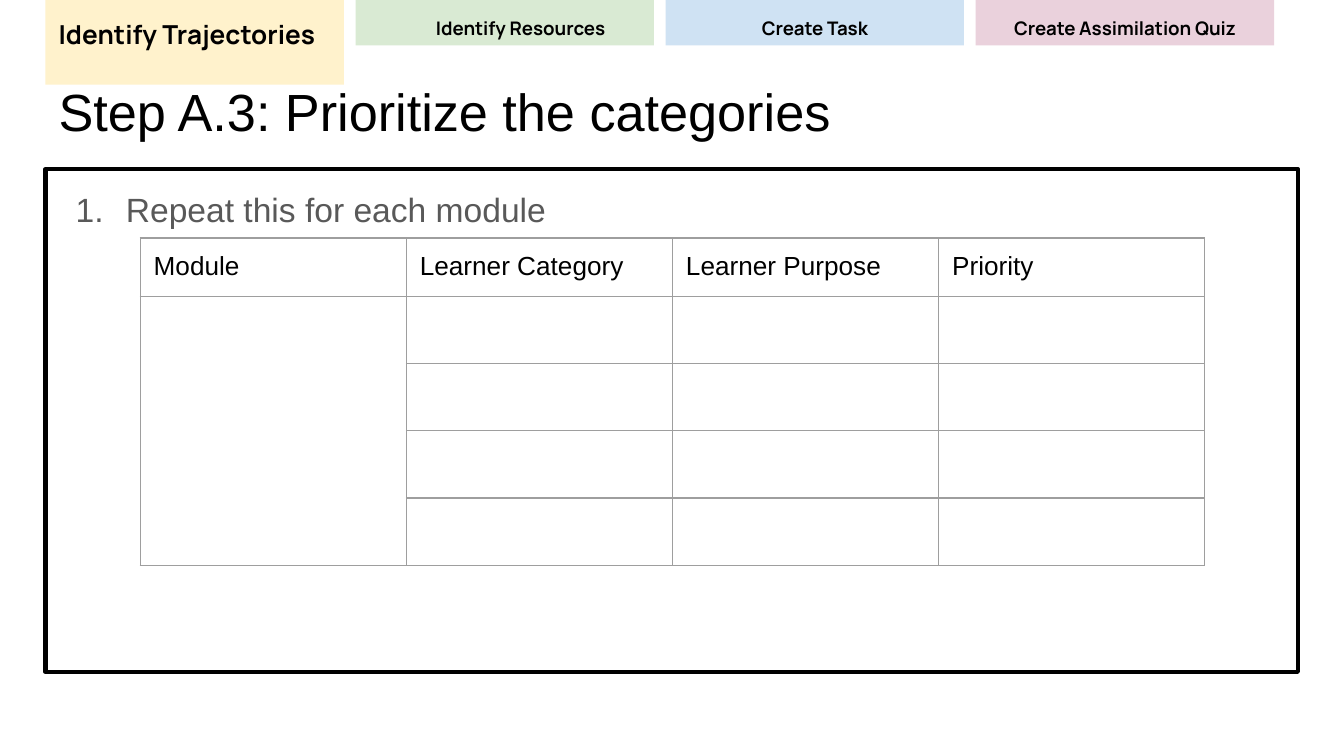
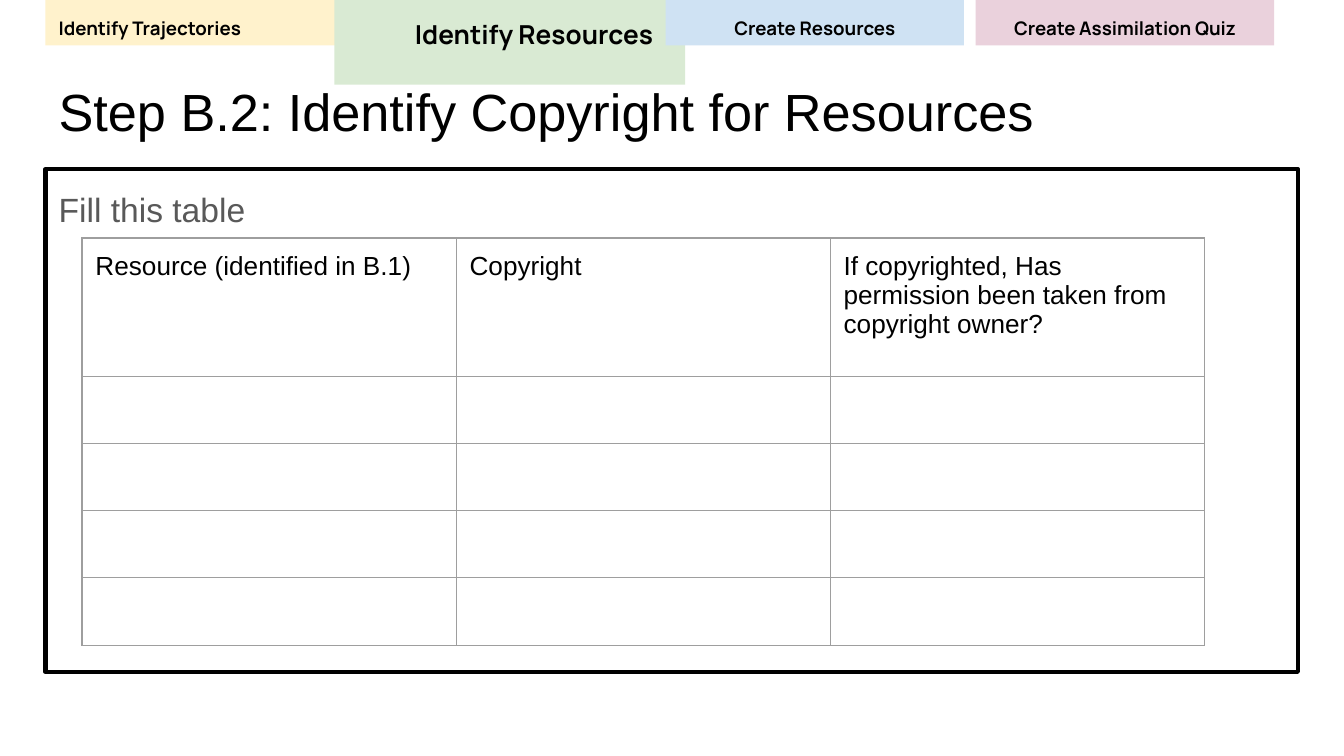
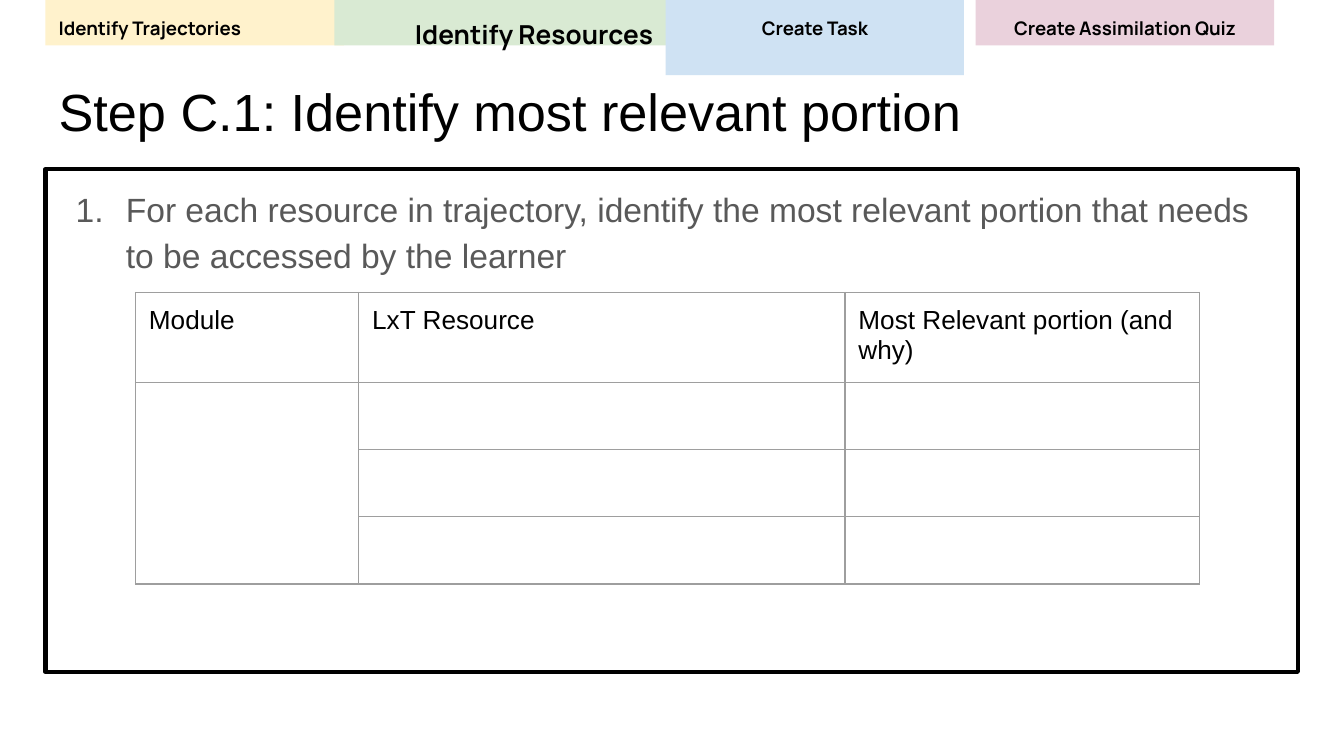
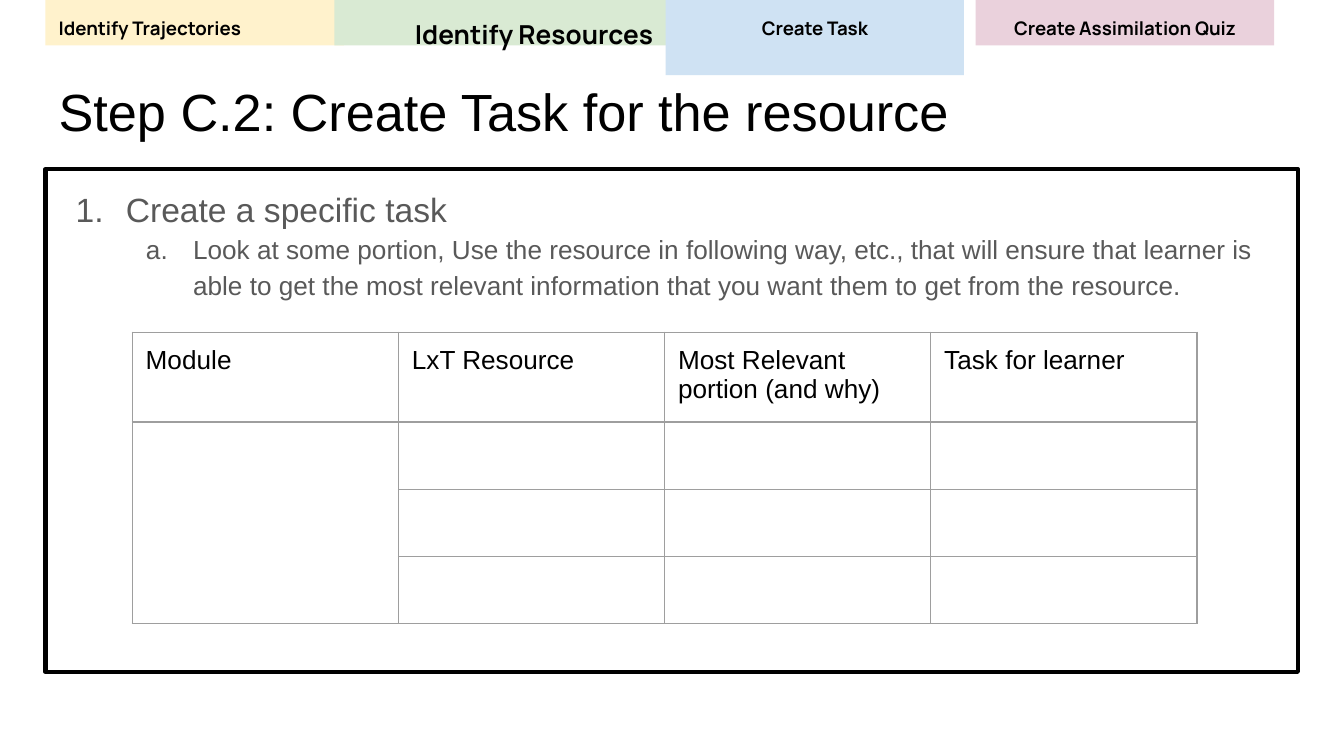
from lxml import etree
from pptx import Presentation
from pptx.dml.color import RGBColor
from pptx.enum.shapes import MSO_SHAPE
from pptx.enum.text import MSO_ANCHOR, PP_ALIGN
from pptx.oxml.ns import qn
from pptx.util import Cm, Pt

RECT = MSO_SHAPE.RECTANGLE
TOP = MSO_ANCHOR.TOP
LEFT, MID = PP_ALIGN.LEFT, PP_ALIGN.CENTER

COLORS = {
    "black": "000000", "gray": "595959", "grid": "9E9E9E",
    "yellow": "FFF2CC", "green": "D9EAD3", "blue": "CFE2F3", "pink": "EAD1DC",
}
BODY, HEAD = "Arial", "Manrope"

# Lengths are in centimetres, text sizes in points.
PAGE = (25.4, 14.29)
TITLE = (0.86, 1.24, 23.67, 1.6)
PANEL = (0.86, 3.2, 23.67, 9.5)
TAB_X, TAB_STEP, TAB_W = 0.86, 5.86, 5.64
LOW, TALL, DEEP = 0.86, 1.6, 1.42
INSET = 0.254
ROW = 1.22

# Text, fill, alignment, indent
TABS = [
    ("Identify Trajectories", "yellow", LEFT, 0),
    ("Identify Resources", "green", LEFT, 1.27),
    ("Create Task", "blue", MID, 0),
    ("Create Assimilation Quiz", "pink", MID, 0),
]
WIDE = {"x": 6.32, "w": 6.63, "size": 14}
TASK_TABS = {1: WIDE, 2: {"h": DEEP}}

# Numbering scheme, left margin, first-line indent, size
LEVELS = {
    "plain": (None, 0, 0, 18),
    "number": ("arabicPeriod", 1.27, -0.95, 18),
    "letter": ("alphaLcPeriod", 2.54, -0.89, 14),
}

SLIDES = [
    {
        "title": "Step A.3: Prioritize the categories",
        "tabs": {0: {"h": TALL, "size": 14}},
        "text": [("number", "Repeat this for each module")],
        "heads": ["Module", "Learner Category", "Learner Purpose", "Priority"],
        "at": (2.65, 4.5), "cols": [5.03] * 4, "top": 1.06, "rows": 4,
        "merge": True,
    },
    {
        "title": "Step B.2: Identify Copyright for Resources",
        "tabs": {1: {**WIDE, "h": TALL}, 2: {"text": "Create Resources"}},
        "text": [("plain", "Fill this table")],
        "heads": ["Resource (identified in B.1)", "Copyright",
                  "If copyrighted, Has permission been taken from "
                  "copyright owner?"],
        "at": (1.55, 4.5), "cols": [7.07] * 3, "top": 2.61, "rows": 4,
        "merge": False,
    },
    {
        "title": "Step C.1: Identify most relevant portion",
        "tabs": TASK_TABS,
        "text": [("number",
                  "For each resource in trajectory, identify the most relevant "
                  "portion that needs to be accessed by the learner")],
        "heads": ["Module", "LxT Resource", "Most Relevant portion (and why)"],
        "at": (2.56, 5.53), "cols": [4.22, 9.19, 6.7], "top": 1.63, "rows": 3,
        "merge": True,
    },
    {
        "title": "Step C.2: Create Task for the resource",
        "tabs": TASK_TABS,
        "text": [("number", "Create a specific task"),
                 ("letter",
                  "Look at some portion, Use the resource in following way, "
                  "etc., that will ensure that learner is able to get the most "
                  "relevant information that you want them to get from the "
                  "resource.")],
        "heads": ["Module", "LxT Resource", "Most Relevant portion (and why)",
                  "Task for learner"],
        "at": (2.5, 6.28), "cols": [5.03] * 4, "top": 1.63, "rows": 3,
        "merge": True,
    },
]


def tint(name):
    return RGBColor.from_string(COLORS[name])


def add_run(para, text, size, color="black", font=BODY, bold=False):
    run = para.add_run()
    run.text = text
    run.font.name, run.font.size, run.font.bold = font, Pt(size), bold
    run.font.color.rgb = tint(color)


def set_frame(shape):
    frame = shape.text_frame
    frame.word_wrap = True
    frame.vertical_anchor = TOP
    frame.margin_left = frame.margin_right = Cm(INSET)
    frame.margin_top = frame.margin_bottom = Cm(INSET)
    return frame


def add_box(slide, box, fill=None, line=None):
    shape = slide.shapes.add_shape(RECT, *map(Cm, box))
    shape.shadow.inherit = False
    if fill:
        shape.fill.solid()
        shape.fill.fore_color.rgb = tint(fill)
    else:
        shape.fill.background()
    if line:
        shape.line.color.rgb = tint(line)
        shape.line.width = Pt(2.25)
    else:
        shape.line.fill.background()
    return set_frame(shape)


def set_para(para, align=LEFT, left=0, first=0, scheme=None, after=0):
    para.alignment = align
    para.line_spacing = 1.15
    para.space_after = Pt(after)
    props = para._p.get_or_add_pPr()
    props.set("marL", str(Cm(left)))
    props.set("indent", str(Cm(first)))
    if scheme:
        color = etree.SubElement(props, qn("a:buClr"))
        etree.SubElement(color, qn("a:srgbClr"), val=COLORS["gray"])
        etree.SubElement(props, qn("a:buFont"), typeface=BODY)
        etree.SubElement(props, qn("a:buAutoNum"), type=scheme)


def add_title(slide, text):
    box = slide.shapes.add_textbox(*map(Cm, TITLE))
    add_run(set_frame(box).paragraphs[0], text, 28)


def add_panel(slide, items):
    frame = add_box(slide, PANEL, line="black")
    for i, (level, text) in enumerate(items):
        para = frame.add_paragraph() if i else frame.paragraphs[0]
        scheme, left, first, size = LEVELS[level]
        set_para(para, left=left, first=first, scheme=scheme)
        add_run(para, text, size, "gray")


def add_tabs(slide, changes):
    for i, (text, fill, align, left) in enumerate(TABS):
        tab = {"text": text, "x": TAB_X + i * TAB_STEP, "w": TAB_W,
               "h": LOW, "size": 10, **changes.get(i, {})}
        frame = add_box(slide, (tab["x"], 0, tab["w"], tab["h"]), fill)
        para = frame.paragraphs[0]
        set_para(para, align, left, after=16)
        add_run(para, tab["text"], tab["size"], font=HEAD, bold=True)


def set_cell(cell):
    cell.margin_left = cell.margin_right = Cm(INSET)
    cell.margin_top = cell.margin_bottom = Cm(INSET)
    props = cell._tc.get_or_add_tcPr()
    for side in ("lnL", "lnR", "lnT", "lnB"):
        line = etree.SubElement(props, qn("a:" + side), w=str(Pt(0.75)))
        fill = etree.SubElement(line, qn("a:solidFill"))
        etree.SubElement(fill, qn("a:srgbClr"), val=COLORS["grid"])
    cell.fill.background()


def add_grid(slide, data):
    cols, rows = data["cols"], [data["top"]] + [ROW] * data["rows"]
    box = (*data["at"], sum(cols), sum(rows))
    table = slide.shapes.add_table(len(rows), len(cols), *map(Cm, box)).table
    table.first_row = table.horz_banding = False
    for col, width in zip(table.columns, cols):
        col.width = Cm(width)
    for row, height in zip(table.rows, rows):
        row.height = Cm(height)
    for cell in table.iter_cells():
        set_cell(cell)
    for i, text in enumerate(data["heads"]):
        add_run(table.cell(0, i).text_frame.paragraphs[0], text, 14)
    if data["merge"]:
        table.cell(1, 0).merge(table.cell(data["rows"], 0))


def main():
    deck = Presentation()
    deck.slide_width, deck.slide_height = map(Cm, PAGE)
    for data in SLIDES:
        slide = deck.slides.add_slide(deck.slide_layouts[6])
        add_title(slide, data["title"])
        add_panel(slide, data["text"])
        add_tabs(slide, data["tabs"])
        add_grid(slide, data)
    deck.save("out.pptx")


if __name__ == "__main__":
    main()
